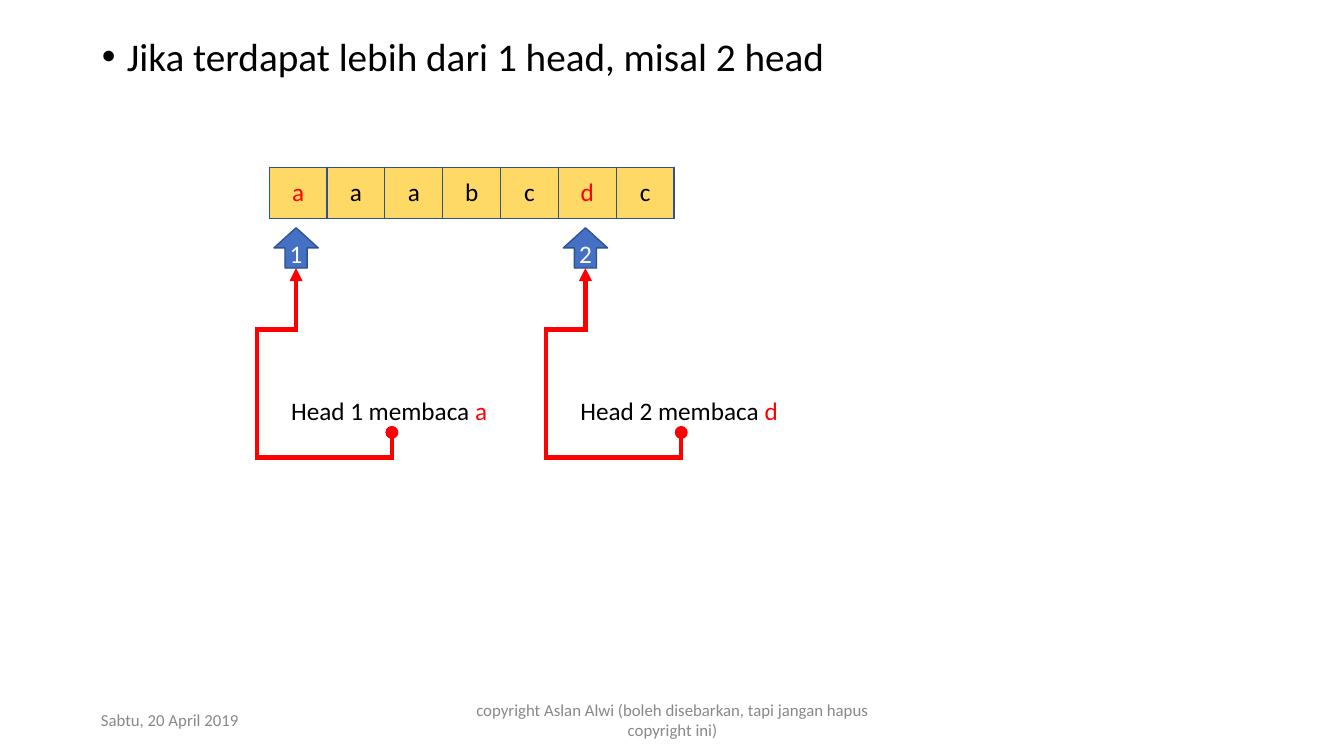
from lxml import etree
from pptx import Presentation
from pptx.dml.color import RGBColor
from pptx.enum.shapes import MSO_SHAPE
from pptx.enum.text import MSO_ANCHOR, PP_ALIGN
from pptx.oxml.ns import qn
from pptx.util import Inches, Pt

UP_ARROW = MSO_SHAPE.UP_ARROW
CENTER, LEFT = PP_ALIGN.CENTER, PP_ALIGN.LEFT
MIDDLE, BOTTOM = MSO_ANCHOR.MIDDLE, MSO_ANCHOR.BOTTOM

COLORS = {
    "text": "000000",
    "read": "FF0000",
    "tape": "FFD966",
    "border": "2E528F",
    "head": "4471C4",
    "number": "FFFFFF",
    "footer": "888888",
}

TAPE = "aaabcdc"
TAPE_LEFT, TAPE_TOP = 2.67, 1.66
CELL_WIDTH, CELL_HEIGHT = 0.574, 0.51
HEAD_CELLS = (0, 5)  # tape cells under the two heads


def color(name):
    return RGBColor.from_string(COLORS[name])


def format_run(run, size, color_name):
    run.font.name = "Calibri"
    run.font.size = Pt(size)
    run.font.color.rgb = color(color_name)


def add_text(slide, left, top, width, height, lines, size, color_name, align=LEFT):
    frame = slide.shapes.add_textbox(
        Inches(left), Inches(top), Inches(width), Inches(height)).text_frame
    frame.word_wrap = True
    frame.margin_left = frame.margin_right = frame.margin_bottom = 0
    frame.margin_top = Inches(0.02)
    frame.text = "\n".join(lines)
    for paragraph in frame.paragraphs:
        paragraph.alignment = align
        for run in paragraph.runs:
            format_run(run, size, color_name)
    return frame


def add_bullet(paragraph):
    properties = paragraph._p.get_or_add_pPr()
    properties.set("marL", str(Inches(0.26)))
    properties.set("indent", str(Inches(-0.25)))
    etree.SubElement(properties, qn("a:buFont"), typeface="Arial")
    etree.SubElement(properties, qn("a:buChar"), char="•")


def add_cell_borders(cell):
    properties = cell._tc.get_or_add_tcPr()
    for side in ("a:lnL", "a:lnR", "a:lnT", "a:lnB"):
        line = etree.SubElement(properties, qn(side), w=str(Pt(1)))
        fill = etree.SubElement(line, qn("a:solidFill"))
        etree.SubElement(fill, qn("a:srgbClr"), val=COLORS["border"])


def add_tape(slide):
    tape = slide.shapes.add_table(
        1, len(TAPE), Inches(TAPE_LEFT), Inches(TAPE_TOP),
        Inches(CELL_WIDTH * len(TAPE)), Inches(CELL_HEIGHT)).table
    tape.first_row = tape.horz_banding = False
    tape.rows[0].height = Inches(CELL_HEIGHT)
    for index, symbol in enumerate(TAPE):
        tape.columns[index].width = Inches(CELL_WIDTH)
        cell = tape.cell(0, index)
        cell.margin_left = cell.margin_right = 0
        cell.margin_top = cell.margin_bottom = 0
        cell.vertical_anchor = MIDDLE
        add_cell_borders(cell)
        cell.fill.solid()
        cell.fill.fore_color.rgb = color("tape")
        cell.text_frame.text = symbol
        paragraph = cell.text_frame.paragraphs[0]
        paragraph.alignment = CENTER
        format_run(paragraph.runs[0], 18, "read" if index in HEAD_CELLS else "text")


def add_head(slide, center, number):
    head = slide.shapes.add_shape(
        UP_ARROW, Inches(center - 0.22), Inches(2.26), Inches(0.44), Inches(0.4))
    head.shadow.inherit = False
    head.fill.solid()
    head.fill.fore_color.rgb = color("head")
    head.line.color.rgb = color("border")
    head.line.width = Pt(0.96)
    frame = head.text_frame
    frame.margin_left = frame.margin_right = frame.margin_top = frame.margin_bottom = 0
    frame.vertical_anchor = BOTTOM
    frame.text = str(number)
    frame.paragraphs[0].alignment = CENTER
    format_run(frame.paragraphs[0].runs[0], 18, "number")


def add_link(slide, center):
    """Bent arrow from the caption up to the head."""
    caption_x, side_x = center + 0.95, center - 0.39
    route = [(caption_x, 4.29), (caption_x, 4.54), (side_x, 4.54),
             (side_x, 3.27), (center, 3.27), (center, 2.66)]
    points = [(Inches(x), Inches(y)) for x, y in route]
    builder = slide.shapes.build_freeform(*points[0])
    builder.add_line_segments(points[1:], close=False)
    link = builder.convert_to_shape()
    link.shadow.inherit = False
    link.fill.background()
    link.line.color.rgb = color("read")
    link.line.width = Pt(3.1)
    line = link.line._get_or_add_ln()
    etree.SubElement(line, qn("a:miter"), lim="800000")
    etree.SubElement(line, qn("a:headEnd"), type="oval")
    etree.SubElement(line, qn("a:tailEnd"), type="triangle")


def add_caption(slide, center, number, symbol):
    frame = add_text(slide, center - 0.05, 3.9, 2.05, 0.33,
                     [f"Head {number} membaca "], 18, "text")
    read_symbol = frame.paragraphs[0].add_run()
    read_symbol.text = symbol
    format_run(read_symbol, 18, "read")


def main():
    presentation = Presentation()
    presentation.slide_width = Inches(13.33)
    presentation.slide_height = Inches(7.5)
    slide = presentation.slides.add_slide(presentation.slide_layouts[6])

    # Heading
    heading = add_text(slide, 1, 0.3, 7.4, 0.5,
                       ["Jika terdapat lebih dari 1 head, misal 2 head"], 28, "text")
    add_bullet(heading.paragraphs[0])

    # Tape with its reading heads
    add_tape(slide)
    for number, cell_index in enumerate(HEAD_CELLS, start=1):
        center = TAPE_LEFT + (cell_index + 0.5) * CELL_WIDTH - 0.02
        add_caption(slide, center, number, TAPE[cell_index])
        add_link(slide, center)
        add_head(slide, center, number)

    # Footer
    notice = add_text(slide, 4.71, 6.95, 3.92, 0.4,
                      ["copyright Aslan Alwi (boleh disebarkan, tapi jangan hapus",
                       "copyright ini)"], 12, "footer", CENTER)
    date = add_text(slide, 1, 7.05, 1.45, 0.19, ["Sabtu, 20 April 2019"], 12, "footer")
    for frame in (notice, date):
        frame.paragraphs[0].line_spacing = Pt(12.4)

    presentation.save("out.pptx")


if __name__ == "__main__":
    main()
